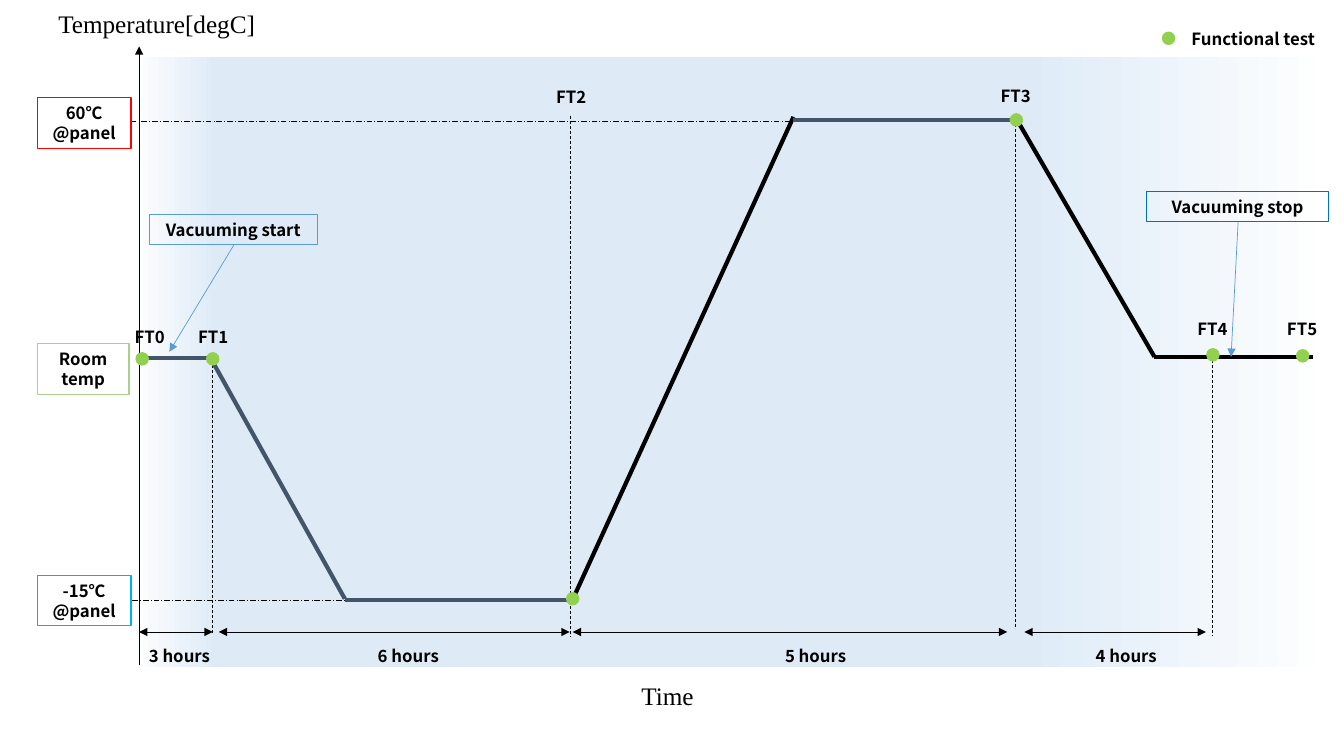
from copy import deepcopy
from pptx import Presentation
from pptx import util as u
from pptx.dml.color import RGBColor
from pptx.enum import dml, shapes, text
from pptx.oxml import ns, xmlchemy

COLORS = {
    "black": "000000", "slate": "44546A", "green": "92D050", "haze": "DEEBF7",
    "white": "FFFFFF", "hot": "FF0000", "cold": "00B0F0", "room": "A9D18E",
    "start": "5B9BD5", "stop": "0070C0",
}
LABEL_FONT = "Noto Sans CJK JP"
AXIS_FONT = "Times New Roman"


def add_line(start, end, color="black", width=0.5, dash=None, arrows=()):
    points = [u.Inches(value) for value in (*start, *end)]
    connector = slide.shapes.add_connector(shapes.MSO_CONNECTOR.STRAIGHT, *points)
    connector.line.color.rgb = RGBColor.from_string(COLORS[color])
    connector.line.width = u.Pt(width)
    if dash:
        connector.line.dash_style = dash
    for end_name in arrows:
        arrow = xmlchemy.OxmlElement(f"a:{end_name}")
        arrow.set("type", "triangle")
        connector.line._get_or_add_ln().append(arrow)
    connector._element.spPr.append(xmlchemy.OxmlElement("a:effectLst"))


def add_label(lines, left, top, width, height=0.3, border=None,
              font=LABEL_FONT, size=12, bold=True, align=text.PP_ALIGN.CENTER):
    label = slide.shapes.add_textbox(*[u.Inches(value) for value in (left, top, width, height)])
    if border:
        label.line.color.rgb = RGBColor.from_string(COLORS[border])
        label.line.width = u.Pt(0.75)
    frame = label.text_frame
    frame.word_wrap = True
    frame.vertical_anchor = text.MSO_ANCHOR.MIDDLE
    for index, line in enumerate(lines):
        paragraph = frame.add_paragraph() if index else frame.paragraphs[0]
        paragraph.alignment = align
        run = paragraph.add_run()
        run.text = line
        run.font.name = font
        run.font.size = u.Pt(size)
        run.font.bold = bold
        run.font.color.rgb = RGBColor.from_string(COLORS["black"])
        east_asian = xmlchemy.OxmlElement("a:ea")
        east_asian.set("typeface", font)
        run.font._element.find(ns.qn("a:latin")).addnext(east_asian)


presentation = Presentation()
presentation.slide_width = u.Inches(13.33)
presentation.slide_height = u.Inches(7.5)
slide = presentation.slides.add_slide(presentation.slide_layouts[6])

vacuum = slide.shapes.add_shape(
    shapes.MSO_SHAPE.RECTANGLE, u.Inches(1.31), u.Inches(0.57), u.Inches(11.94), u.Inches(6.05))
vacuum.shadow.inherit = False
vacuum.line.fill.background()
vacuum.fill.gradient()
vacuum.fill.gradient_angle = 180
stop_list = vacuum._element.spPr.find(".//" + ns.qn("a:gsLst"))
for stop in list(stop_list):
    stop_list.append(deepcopy(stop))
haze_stops = [(0, "white"), (0.26, "haze"), (0.93, "haze"), (1, "white")]
for stop, (position, color) in zip(vacuum.fill.gradient_stops, haze_stops):
    stop.position = position
    stop.color.rgb = RGBColor.from_string(COLORS[color])

add_line((1.38, 6.6), (1.38, 0.46), arrows=["tailEnd"])
for level, right in [(1.2, 10.07), (5.96, 5.62)]:
    add_line((right, level), (1.3, level), dash=dml.MSO_LINE.LONG_DASH_DOT)
for x, top, bottom in [(2.11, 3.57, 6.28), (5.66, 1.15, 6.31), (10.07, 1.18, 6.24), (12.02, 3.57, 6.31)]:
    add_line((x, top), (x, bottom), dash=dml.MSO_LINE.DASH)

durations = [
    ("3 hours", 1.38, 2.11, 1.78), ("6 hours", 2.17, 5.65, 4.05),
    ("5 hours", 5.68, 9.99, 8.09), ("4 hours", 10.16, 11.96, 11.17),
]
for duration, left, right, center in durations:
    add_line((right, 6.27), (left, 6.27), arrows=["headEnd", "tailEnd"])
    add_label([duration], center - 0.52, 6.36, 1.04)

temperature_profile = [
    ((1.38, 3.55), (2.11, 3.55), "slate"), ((2.11, 3.59), (3.42, 5.94), "slate"),
    ((3.42, 5.95), (5.68, 5.95), "slate"), ((5.67, 5.97), (7.87, 1.16), "black"),
    ((7.87, 1.19), (10.07, 1.19), "slate"), ((10.07, 1.16), (11.45, 3.54), "black"),
    ((11.45, 3.54), (13.02, 3.54), "black"),
]
for start, end, color in temperature_profile:
    add_line(start, end, color, 3)

add_label(["60℃", "@panel"], 0.37, 0.97, 0.93, 0.5, "hot")
add_label(["Room temp"], 0.37, 3.41, 0.91, 0.5, "room")
add_label(["-15℃", "@panel"], 0.37, 5.71, 0.93, 0.5, "cold")

add_label(["Vacuuming start"], 1.48, 2.13, 1.67, border="start")
add_label(["Vacuuming stop"], 11.37, 1.9, 1.81, border="stop")
for start, end in [((2.32, 2.43), (1.68, 3.49)), ((12.28, 2.2), (12.21, 3.54))]:
    add_line(start, end, "start", arrows=["tailEnd"])

test_labels = [(1.48, 3.19), (2.11, 3.19), (5.66, 0.81), (10.07, 0.8), (12.02, 3.11), (12.91, 3.11)]
for number, (center, top) in enumerate(test_labels):
    add_label([f"FT{number}"], center - 0.43, top, 0.87)
add_label(["Functional test"], 11.64, 0.24, 1.58)

test_dots = [(1.41, 3.56), (2.11, 3.56), (5.68, 5.94), (10.08, 1.19), (12.03, 3.52), (12.92, 3.53), (11.59, 0.38)]
for x, y in test_dots:
    dot = slide.shapes.add_shape(
        shapes.MSO_SHAPE.FLOWCHART_CONNECTOR,
        u.Inches(x - 0.06), u.Inches(y - 0.06), u.Inches(0.12), u.Inches(0.12))
    dot.shadow.inherit = False
    dot.fill.solid()
    dot.fill.fore_color.rgb = RGBColor.from_string(COLORS["green"])
    dot.line.color.rgb = RGBColor.from_string(COLORS["green"])
    dot.line.width = u.Pt(1)

add_label(["Temperature[degC]"], 0.48, 0.03, 2.24, 0.4, None, AXIS_FONT, 18, False, text.PP_ALIGN.LEFT)
add_label(["Time"], 5.5, 6.7, 2.24, 0.4, None, AXIS_FONT, 18, False)

presentation.save("out.pptx")
